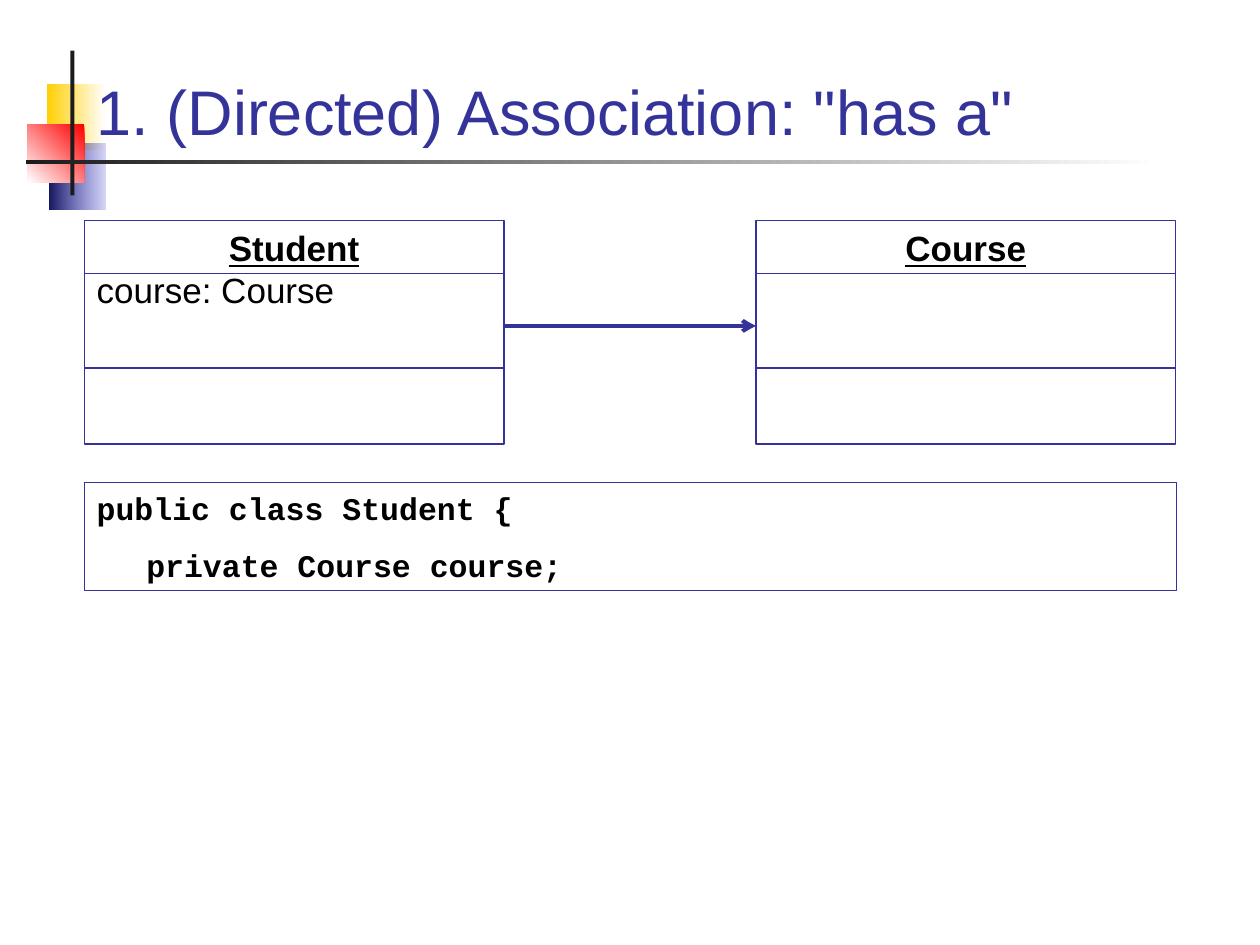
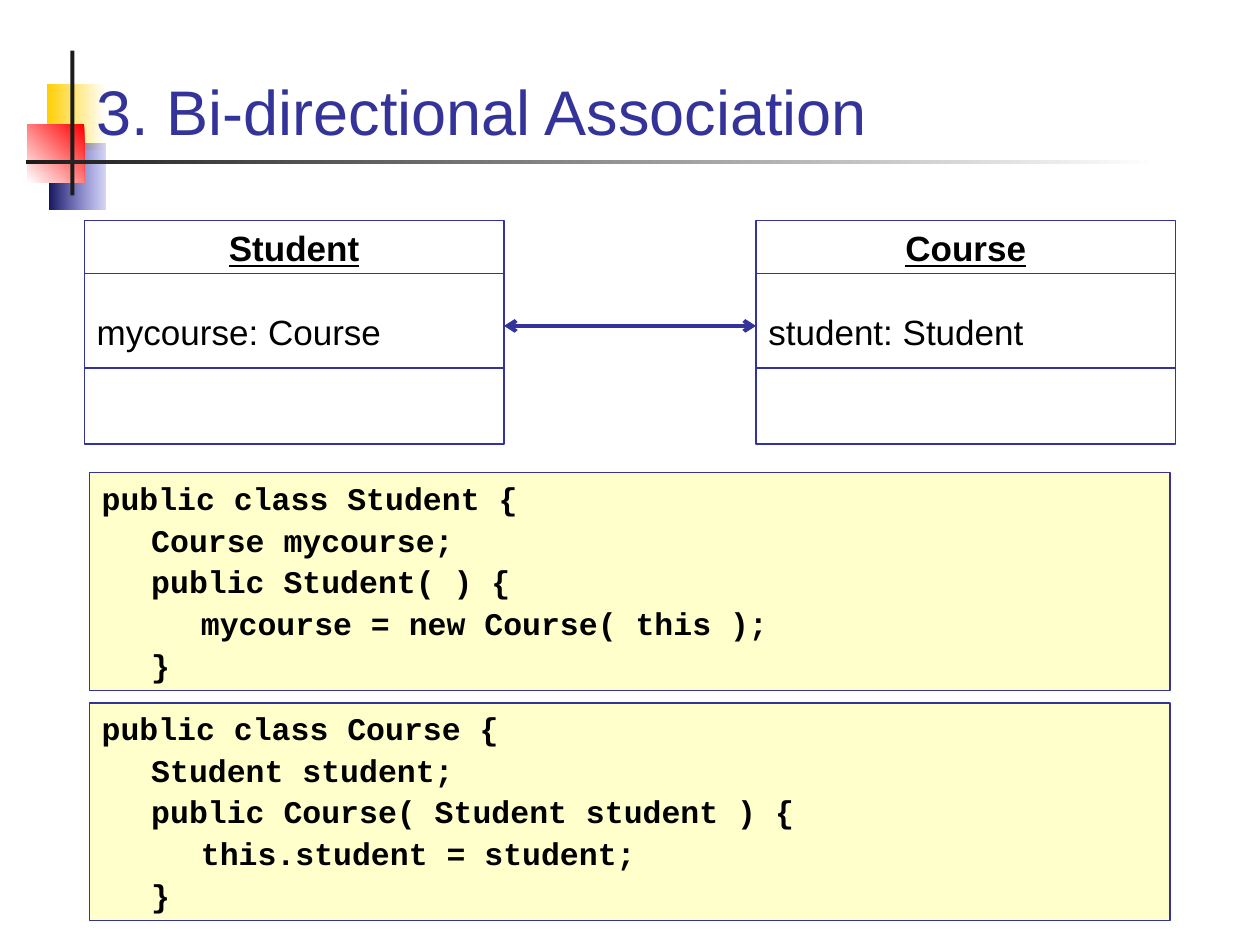
from pptx import Presentation as Deck
from pptx.util import Cm, Pt
from pptx.dml.color import RGBColor as Rgb
from pptx.enum.shapes import MSO_SHAPE as Form, MSO_CONNECTOR as Link
from pptx.enum.text import MSO_ANCHOR as Anchor, PP_ALIGN as Align
from pptx.oxml.ns import qn
from lxml.etree import SubElement as Sub

INK, BLACK, WHITE, CREAM, DARK = "333399", "000000", "FFFFFF", "FFFFCC", "1C1C1C"
TAB = Cm(1)


def hue(code):
    return Rgb.from_string(code)


def write(para, text, face, size, code=BLACK, bold=False, line=False):
    run = para.add_run()
    run.text = text
    font = run.font
    font.name, font.size, font.bold, font.underline = face, Pt(size), bold, line
    font.color.rgb = hue(code)


marks = [
    (0.94, 1.7, 1.19, 1.32, (WHITE, "FFCF01"), 180),
    (0.99, 2.9, 1.14, 1.32, ("3333CC", "17175E"), 180),
    (0.56, 2.51, 1.14, 1.17, ("FF0000", WHITE), 225),
    (1.42, 1.02, 0.08, 2.92, (DARK, DARK), 0),
    (0.53, 3.23, 22.83, 0.08, (WHITE, DARK), 180),
]

left, right, wide = 1.7, 15.24, 8.46
top, tall = 4.45, 4.5
rules = (5.51, 7.42)
mid = 6.57

pages = [
    {
        "title": '1. (Directed) Association: "has a"',
        "cards": [(left, "Student", "course: Course"), (right, "Course", "")],
        "lead": 0,
        "links": [(left + wide, right, None, "triangle"),
                  (left + wide - 0.03, right - 0.03, None, "arrow")],
        "codes": [(1.7, 9.73, 22.02, 2.18, WHITE, 11.2, [
            (0, "public class Student {"),
            (1, "private Course course;")])],
    },
    {
        "title": "3. Bi-directional Association",
        "cards": [(left, "Student", "mycourse: Course"),
                  (right, "Course", "student: Student")],
        "lead": 24,
        "links": [(left + wide, right, "arrow", "arrow")],
        "codes": [
            (1.8, 9.53, 21.79, 4.39, CREAM, 2.2, [
                (0, "public class Student {"),
                (1, "Course mycourse;"),
                (1, "public Student( ) {"),
                (2, "mycourse = new Course( this );"),
                (1, "}")]),
            (1.8, 14.17, 21.79, 4.39, CREAM, 2.2, [
                (0, "public class Course {"),
                (1, "Student student;"),
                (1, "public Course( Student student ) {"),
                (2, "this.student = student;"),
                (1, "}")]),
        ],
    },
]

deck = Deck()
deck.slide_width, deck.slide_height = Cm(25.4), Cm(19.05)

for page in pages:
    slide = deck.slides.add_slide(deck.slide_layouts[6])
    shapes = slide.shapes

    for x, y, w, h, tones, angle in marks:
        mark = shapes.add_shape(Form.RECTANGLE, Cm(x), Cm(y), Cm(w), Cm(h))
        mark.shadow.inherit = False
        mark.line.fill.background()
        if tones[0] == tones[1]:
            mark.fill.solid()
            mark.fill.fore_color.rgb = hue(tones[0])
            continue
        mark.fill.gradient()
        mark.fill.gradient_angle = angle
        for stop, tone, spot in zip(mark.fill.gradient_stops, tones, (0, 1)):
            stop.color.rgb = hue(tone)
            stop.position = spot
        if tones[0] == "3333CC":
            tint = next(mark._element.iter(qn("a:srgbClr")))
            Sub(tint, qn("a:alpha")).set("val", "20000")

    head = shapes.add_textbox(Cm(1.7), Cm(0.71), Cm(22), Cm(2.41)).text_frame
    head.word_wrap = True
    head.vertical_anchor = Anchor.BOTTOM
    write(head.paragraphs[0], page["title"], "Arial", 36, INK)

    boxes = []
    for x, name, field in page["cards"]:
        rows = [(0, name, Align.CENTER, True)]
        if field:
            rows.append((0, field, Align.LEFT, False))
        boxes.append((x, top, wide, tall, None, page["lead"], "Arial", 20, rows))
    for x, y, w, h, tone, lead, code in page["codes"]:
        rows = [(depth, text, Align.LEFT, True) for depth, text in code]
        boxes.append((x, y, w, h, tone, lead, "Courier New", 18, rows))

    for x, y, w, h, tone, lead, face, size, rows in boxes:
        box = shapes.add_shape(Form.RECTANGLE, Cm(x), Cm(y), Cm(w), Cm(h))
        box.shadow.inherit = False
        box.line.color.rgb = hue(INK)
        box.line.width = Pt(0.75)
        if tone:
            box.fill.solid()
            box.fill.fore_color.rgb = hue(tone)
        else:
            box.fill.background()
        frame = box.text_frame
        frame.word_wrap = True
        frame.vertical_anchor = Anchor.TOP
        for i, (depth, text, align, bold) in enumerate(rows):
            para = frame.add_paragraph() if i else frame.paragraphs[0]
            para.alignment = align
            if i:
                para.space_before = Pt(lead)
            if depth:
                para._p.get_or_add_pPr().set("marL", str(depth * TAB))
            write(para, text, face, size, bold=bold, line=bold and face == "Arial")

    lines = [(x, x + wide, y, 0.75, None, None)
             for x, *_ in page["cards"] for y in rules]
    lines += [(a, b, mid, 2.25, tail, tip) for a, b, tail, tip in page["links"]]
    for a, b, y, thick, tail, tip in lines:
        wire = shapes.add_connector(Link.STRAIGHT, Cm(a), Cm(y), Cm(b), Cm(y))
        wire.line.color.rgb = hue(INK)
        wire.line.width = Pt(thick)
        stroke = wire.line._get_or_add_ln()
        for tag, kind in (("a:headEnd", tail), ("a:tailEnd", tip)):
            if kind:
                Sub(stroke, qn(tag)).set("type", kind)
        Sub(wire._element.spPr, qn("a:effectLst"))

deck.save("out.pptx")
